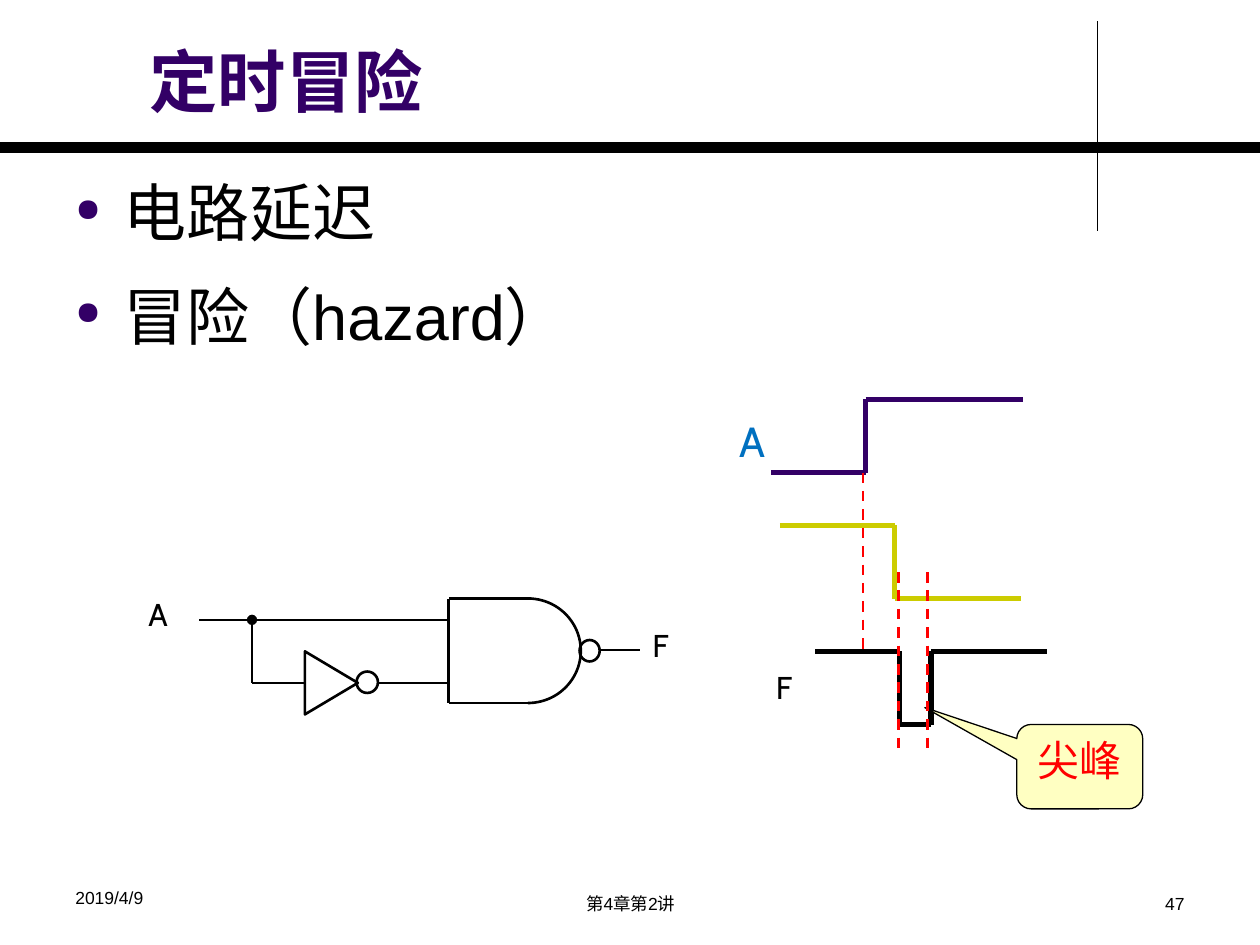
from itertools import pairwise

from lxml import etree
from pptx import Presentation
from pptx.dml.color import RGBColor
from pptx.enum.dml import MSO_LINE
from pptx.enum.shapes import MSO_CONNECTOR, MSO_SHAPE as Kind
from pptx.enum.text import MSO_ANCHOR as Anchor, PP_ALIGN as Align
from pptx.oxml.ns import qn
from pptx.util import Inches, Pt

BLACK, PURPLE, OLIVE, RED = "000000", "330066", "CCCC00", "FF0000"


def color(code):
    return RGBColor.from_string(code)


def style(para, size, code, font="Arial", bold=False):
    for run in para.runs:
        run.font.size = Pt(size)
        run.font.name = font
        run.font.bold = bold
        run.font.color.rgb = color(code)


def add_line(slide, start, end, code=BLACK, width=1.5, dash=False, dot=False):
    """Draw a straight line; dot puts a round junction at its end."""
    ends = [Inches(n) for n in (*start, *end)]
    line = slide.shapes.add_connector(MSO_CONNECTOR.STRAIGHT, *ends)
    line.line.color.rgb = color(code)
    line.line.width = Pt(width)
    if dash:
        line.line.dash_style = MSO_LINE.DASH
    if dot:
        tail = etree.SubElement(line.line._get_or_add_ln(), qn("a:tailEnd"))
        tail.set("type", "oval")
    etree.SubElement(line._element.spPr, qn("a:effectLst"))


def add_wave(slide, points, code, width=3):
    for start, end in pairwise(points):
        add_line(slide, start, end, code, width)


def add_form(slide, kind, box, fill=None, width=1.5):
    form = slide.shapes.add_shape(kind, *[Inches(n) for n in box])
    form.shadow.inherit = False
    if fill:
        form.fill.solid()
        form.fill.fore_color.rgb = color(fill)
    else:
        form.fill.background()
    form.line.color.rgb = color(BLACK)
    form.line.width = Pt(width)
    return form


def add_text(slide, box, text, size, code=BLACK, font="Arial", bold=False,
             align=Align.LEFT, anchor=Anchor.TOP, wrap=True):
    frame = slide.shapes.add_textbox(*[Inches(n) for n in box]).text_frame
    frame.word_wrap = wrap
    frame.vertical_anchor = anchor
    frame.text = text
    for para in frame.paragraphs:
        para.alignment = align
        style(para, size, code, font, bold)
    return frame


def add_label(slide, box, text, size=18, code=BLACK):
    add_text(slide, box, text, size, code, "Cabin", wrap=False)


def add_bullet(para):
    props = para._p.get_or_add_pPr()
    props.set("marL", str(Inches(0.38)))
    props.set("indent", str(-Inches(0.38)))
    tint = etree.SubElement(props, qn("a:buClr"))
    etree.SubElement(tint, qn("a:srgbClr")).set("val", PURPLE)
    etree.SubElement(props, qn("a:buSzPct")).set("val", "51000")
    etree.SubElement(props, qn("a:buChar")).set("char", "●")


def add_head(slide):
    add_line(slide, (8.71, 0.17), (8.71, 1.83), width=0.75)
    add_line(slide, (0, 1.17), (10, 1.17), width=6)
    add_text(slide, (1.09, 0.2, 7.55, 0.81), "定时冒险", 39, PURPLE,
             bold=True, anchor=Anchor.BOTTOM)


def add_body(slide):
    frame = add_text(slide, (0.5, 1.33, 9, 5.25),
                     "电路延迟\n冒险（hazard）", 36)
    for para in frame.paragraphs:
        add_bullet(para)
    last = frame.paragraphs[1]
    last.line_spacing = 1.2
    last.space_before = Pt(7.2)


def add_circuit(slide):
    add_label(slide, (1.08, 4.67, 0.43, 0.5), "A")
    add_label(slide, (5.08, 4.92, 0.4, 0.5), "F")
    # NAND gate: the arc runs from 270 to 90 degrees, in units of 0.6
    arc = add_form(slide, Kind.ARC, (3.77, 4.75, 0.84, 0.83))
    arc.adjustments[0] = 270 * 0.6
    arc.adjustments[1] = 90 * 0.6
    add_wave(slide, [(4.2, 4.75), (3.56, 4.75), (3.56, 5.58), (4.2, 5.58)],
             BLACK, 1.5)
    add_form(slide, Kind.OVAL, (4.6, 5.08, 0.16, 0.17))
    # Inverter
    gate = add_form(slide, Kind.ISOSCELES_TRIANGLE, (2.38, 5.21, 0.5, 0.42))
    gate.rotation = 90
    add_form(slide, Kind.OVAL, (2.83, 5.33, 0.17, 0.17))
    # Wires
    for start, end in [((4.76, 5.16), (5.08, 5.16)),
                       ((3.56, 5.42), (3, 5.42)),
                       ((3.56, 4.92), (1.58, 4.92)),
                       ((2.42, 5.42), (2, 5.42))]:
        add_line(slide, start, end)
    add_line(slide, (2, 5.42), (2, 4.92), dot=True)


def add_timing(slide):
    add_label(slide, (5.77, 3.25, 0.4, 0.51), "A", 24, "0070C0")
    add_label(slide, (6.06, 5.25, 0.4, 0.5), "F")
    add_wave(slide, [(6.12, 3.75), (6.87, 3.75), (6.87, 3.17), (8.12, 3.17)],
             PURPLE)
    add_wave(slide, [(6.19, 4.17), (7.1, 4.17), (7.1, 4.75), (8.1, 4.75)],
             OLIVE)
    add_wave(slide, [(6.47, 5.17), (7.14, 5.17), (7.14, 5.75),
                     (7.39, 5.75), (7.39, 5.17), (8.31, 5.17)], BLACK)
    add_callout(slide)
    for x, top, end in [(6.85, 3.75, 5.17), (7.13, 4.54, 5.95),
                        (7.36, 4.54, 5.95)]:
        add_line(slide, (x, top), (x, end), RED, dash=True)


def add_callout(slide):
    note = add_form(slide, Kind.ROUNDED_RECTANGULAR_CALLOUT,
                    (8.07, 5.75, 1, 0.67), "FFFFC2", 0.75)
    for i, value in enumerate((-1.23, -0.7, 0.17)):
        note.adjustments[i] = value
    frame = note.text_frame
    frame.vertical_anchor = Anchor.TOP
    frame.text = "尖峰"
    frame.paragraphs[0].alignment = Align.CENTER
    style(frame.paragraphs[0], 24, RED)


def add_footer(slide):
    add_text(slide, (0.5, 6.99, 2.33, 0.34), "2019/4/9", 10)
    add_text(slide, (3.42, 7.04, 3.17, 0.29), "第4章第2讲", 10,
             align=Align.CENTER)
    add_text(slide, (7.17, 7.04, 2.33, 0.29), "47", 10, align=Align.RIGHT)


def main():
    deck = Presentation()
    deck.slide_width, deck.slide_height = Inches(10), Inches(7.5)
    slide = deck.slides.add_slide(deck.slide_layouts[6])
    for add in (add_head, add_body, add_circuit, add_timing, add_footer):
        add(slide)
    deck.save("out.pptx")


if __name__ == "__main__":
    main()
